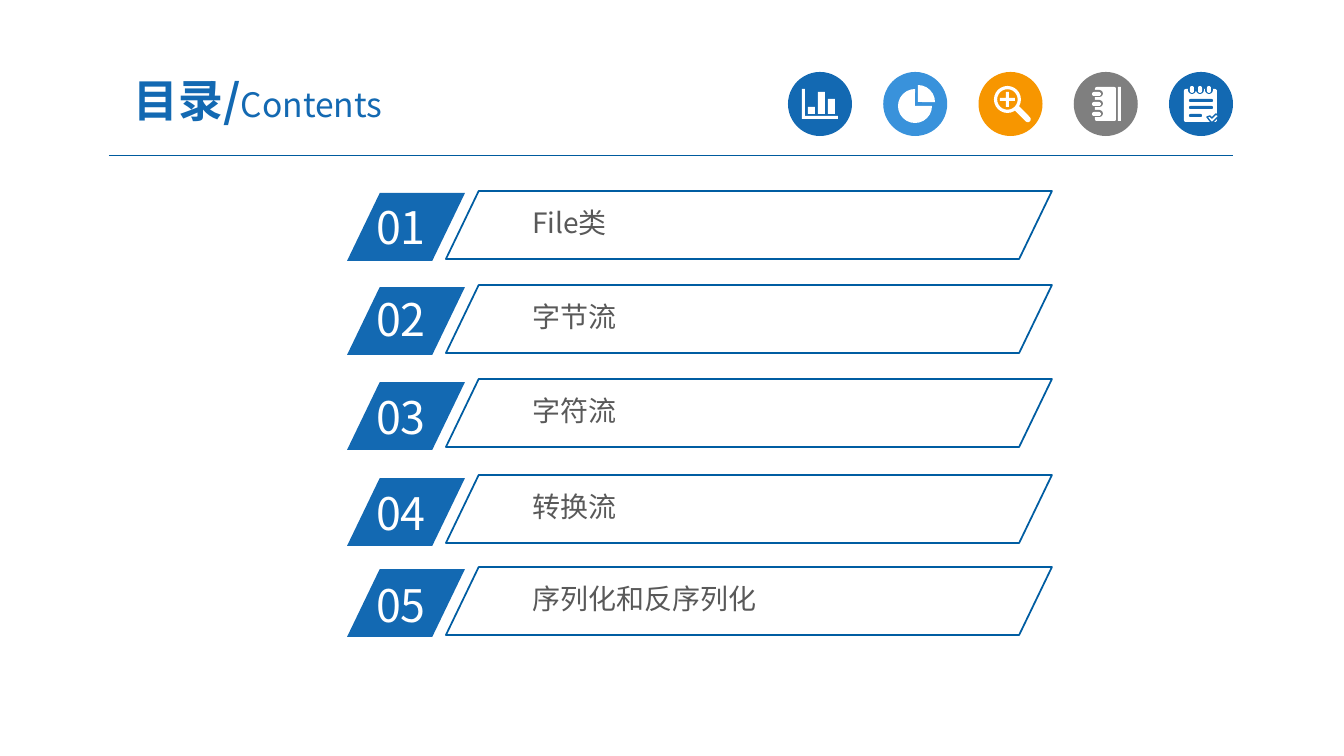
from pptx import Presentation
from pptx import util as u
from pptx.dml.color import RGBColor
from pptx.enum import shapes, text
from pptx.oxml import ns
from lxml import etree

PX = 9144000 / 1008  # EMU per px
FONT = "Noto Sans CJK SC"
BLUE = RGBColor(0x13, 0x69, 0xB2)
SKY = RGBColor(0x39, 0x92, 0xDB)
ORANGE = RGBColor(0xF7, 0x96, 0x00)
GREY = RGBColor(0x7F, 0x7F, 0x7F)
RULE = RGBColor(0x00, 0x5B, 0x9E)
OUTLINE = RGBColor(0x00, 0x5D, 0xA2)
BODY = RGBColor(0x59, 0x59, 0x59)
WHITE = RGBColor(0xFF, 0xFF, 0xFF)

RECT = shapes.MSO_SHAPE.RECTANGLE
ROUND = shapes.MSO_SHAPE.ROUNDED_RECTANGLE
OVAL = shapes.MSO_SHAPE.OVAL
PIE = shapes.MSO_SHAPE.PIE
DONUT = shapes.MSO_SHAPE.DONUT
CROSS = shapes.MSO_SHAPE.CROSS
SLANT = shapes.MSO_SHAPE.PARALLELOGRAM

prs = Presentation()
prs.slide_width, prs.slide_height = round(1344 * PX), round(756 * PX)
s = prs.slides.add_slide(prs.slide_layouts[5])


def add_shape(kind, box, fill, adj=()):
    sp = s.shapes.add_shape(kind, *[round(v * PX) for v in box])
    sp.shadow.inherit = False
    sp.line.fill.background()
    if fill is None:
        sp.fill.background()
    else:
        sp.fill.solid()
        sp.fill.fore_color.rgb = fill
    for i, value in enumerate(adj):
        sp.adjustments[i] = value
    return sp


def style_run(r, size, color, bold=False):
    r.font.name, r.font.size, r.font.bold = FONT, u.Pt(size), bold
    r.font.color.rgb = color
    ea = etree.SubElement(r.font._element, ns.qn("a:ea"))
    ea.set("typeface", FONT)


# Title
title = s.shapes.title
title.left, title.top, title.width, title.height = [
    round(v * PX) for v in (92, 63, 332, 73)]
tf = title.text_frame
tf.word_wrap, tf.auto_size = True, text.MSO_AUTO_SIZE.NONE
tf.vertical_anchor = text.MSO_ANCHOR.MIDDLE
tf.margin_left = tf.margin_right = round(13 * PX)
tf.margin_top = tf.margin_bottom = round(7 * PX)
p = tf.paragraphs[0]
p.alignment = text.PP_ALIGN.CENTER
for words, size, bold in (("目录/", 32, True), ("Contents", 24, False)):
    r = p.add_run()
    r.text = words
    style_run(r, size, BLUE, bold)

# Rule under the header
rule = s.shapes.add_connector(
    shapes.MSO_CONNECTOR.STRAIGHT, *[round(v * PX) for v in (109, 156, 1233, 156)])
rule.line.color.rgb, rule.line.width = RULE, u.Pt(0.75)
etree.SubElement(rule._element.spPr, ns.qn("a:effectLst"))

# Icon discs
for i, color in enumerate((BLUE, SKY, ORANGE, GREY, BLUE)):
    add_shape(OVAL, (788 + 95.25 * i, 72, 64, 64), color)

# Bar chart icon: axes and three bars in one outline
fb = s.shapes.build_freeform(802, 89, scale=PX)
fb.add_line_segments([(805, 89), (805, 116), (838, 116), (838, 119), (802, 119)])
for x, y in ((808, 107), (818, 92), (828, 99)):
    fb.move_to(x, y)
    fb.add_line_segments([(x + 7, y), (x + 7, 114), (x, 114)])
bars = fb.convert_to_shape()
bars.shadow.inherit = False
bars.fill.solid()
bars.fill.fore_color.rgb = WHITE
bars.line.fill.background()

# Pie icon
add_shape(PIE, (898, 89, 34, 34), WHITE, [0, 162])
add_shape(PIE, (901, 85, 34, 34), WHITE, [162, 0])

# Magnifier icon
add_shape(DONUT, (994, 86, 27, 27), WHITE, [0.12])
add_shape(CROSS, (1000, 92, 15, 15), WHITE, [0.4])
handle = add_shape(ROUND, (1012, 111, 21, 6), WHITE, [0.5])
handle.rotation = 45

# Notebook icon
add_shape(ROUND, (1095, 87, 21, 34), WHITE, [0.08])
add_shape(RECT, (1118, 87, 3, 34), WHITE)
for y in (94, 104, 114):
    add_shape(ROUND, (1091, y - 4, 12, 7), GREY, [0.5])
    add_shape(ROUND, (1092, y - 2, 9, 4), WHITE, [0.5])

# Notepad icon
add_shape(ROUND, (1184, 89, 33, 33), WHITE, [0.06])
for x in (1192, 1200, 1209):
    add_shape(ROUND, (x - 4, 86, 8, 8), BLUE, [0.5])
    add_shape(ROUND, (x - 2, 86, 4, 7), WHITE, [0.5])
for y, width in ((99, 24), (106, 24), (114, 13)):
    add_shape(ROUND, (1189, y, width, 3), BLUE, [0.5])
fb = s.shapes.build_freeform(1207, 117, scale=PX)
fb.add_line_segments([(1210, 116), (1212, 118), (1216, 114),
                      (1219, 116), (1213, 122), (1211, 122)])
check = fb.convert_to_shape()
check.shadow.inherit = False
check.fill.solid()
check.fill.fore_color.rgb = WHITE
check.line.color.rgb, check.line.width = BLUE, u.Pt(1)

# Contents rows: label, top of bar, top of number tab, top of number
rows = (("File类", 191, 193, 195), ("字节流", 285, 287, 287),
        ("字符流", 379, 382, 385), ("转换流", 475, 478, 481),
        ("序列化和反序列化", 567, 569, 573))
for n, (label, top, tab_top, number_top) in enumerate(rows, 1):
    add_shape(SLANT, (347, tab_top, 118, 68), BLUE, [0.482])
    bar = add_shape(SLANT, (446, top, 606, 68), None, [0.482])
    bar.line.color.rgb, bar.line.width = OUTLINE, u.Pt(1.25)
    for words, box, size, color, margins in (
            (f"{n:02}", (366, number_top, 113, 64), 32, WHITE, (10, 5)),
            (label, (524, top + 10, 505, 41), 20, BODY, (8, 4))):
        tf = s.shapes.add_textbox(*[round(v * PX) for v in box]).text_frame
        tf.word_wrap, tf.auto_size = True, text.MSO_AUTO_SIZE.SHAPE_TO_FIT_TEXT
        tf.margin_left = tf.margin_right = round(margins[0] * PX)
        tf.margin_top = tf.margin_bottom = round(margins[1] * PX)
        tf.text = words
        style_run(tf.paragraphs[0].runs[0], size, color)

prs.save("out.pptx")
